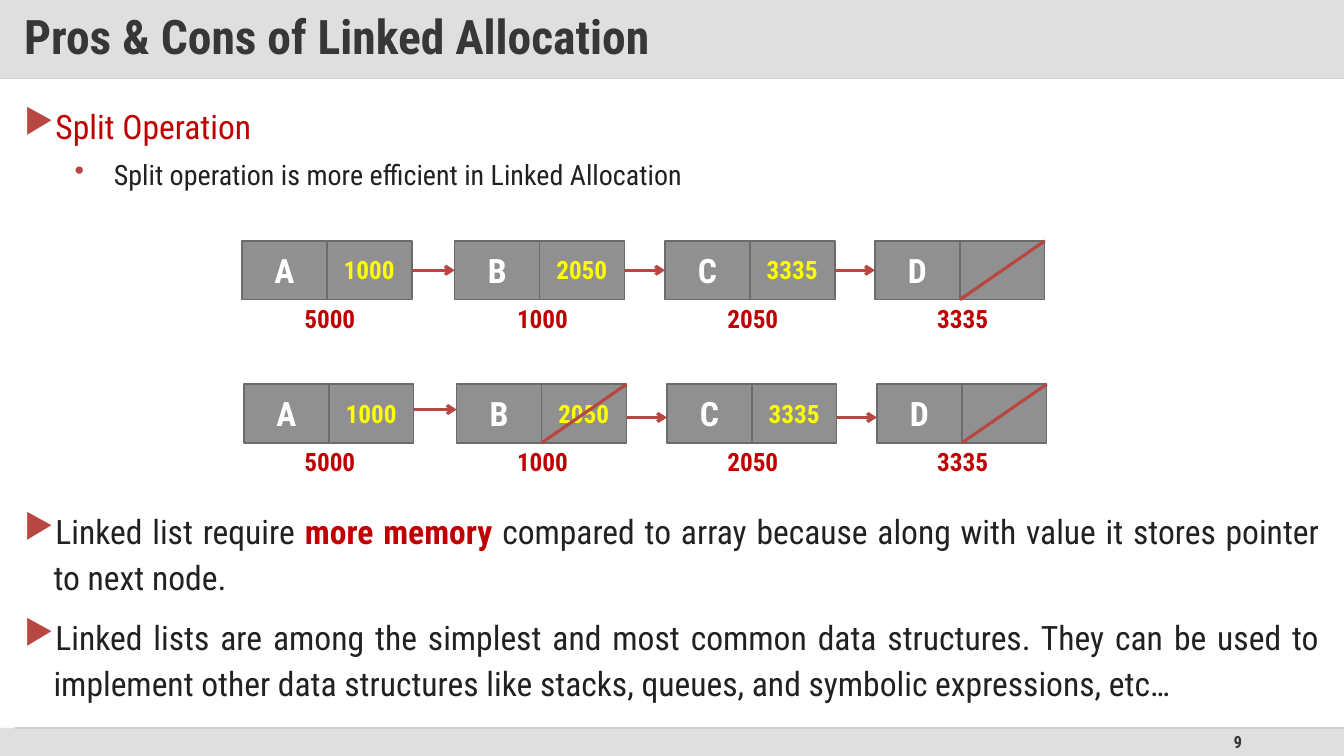
from dataclasses import dataclass

from lxml import etree
from pptx import Presentation
from pptx.dml.color import RGBColor
from pptx.enum.shapes import MSO_CONNECTOR, MSO_SHAPE
from pptx.enum.text import MSO_ANCHOR, MSO_AUTO_SIZE, PP_ALIGN
from pptx.oxml.ns import qn
from pptx.util import Cm, Pt

STRAIGHT = MSO_CONNECTOR.STRAIGHT
RECTANGLE, ROUNDED = MSO_SHAPE.RECTANGLE, MSO_SHAPE.ROUNDED_RECTANGLE
TOP, MIDDLE = MSO_ANCHOR.TOP, MSO_ANCHOR.MIDDLE
FIT_SHAPE = MSO_AUTO_SIZE.SHAPE_TO_FIT_TEXT
LEFT, CENTER, RIGHT, JUSTIFY = PP_ALIGN.LEFT, PP_ALIGN.CENTER, PP_ALIGN.RIGHT, PP_ALIGN.JUSTIFY


@dataclass(frozen=True)
class Theme:
    font: str = "Roboto Condensed"
    ink: str = "212121"
    dark: str = "373737"
    white: str = "FFFFFF"
    crimson: str = "C00000"
    brick: str = "B84742"
    yellow: str = "FFFF00"
    cell: str = "909090"
    cell_edge: str = "6B6B6B"
    band: str = "C0C0C0"
    footer: str = "DFDFDF"
    header_rule: str = "D9D9D9"
    footer_rule: str = "BFBFBF"
    title_size: int = 34
    body_size: int = 24
    detail_size: int = 20
    label_size: int = 18
    number_size: int = 12


WIDTH, HEIGHT = 33.87, 19.05
HEADER, FOOTER = 1.98, 18.34
CELL_WIDTH, CELL_HEIGHT = 2.14, 1.48
LABEL_WIDTH, LABEL_HEIGHT = 1.8, 1.02
NODES = [("A", "1000", "5000"), ("B", "2050", "1000"), ("C", "3335", "2050"), ("D", "", "3335")]
NODE_LEFTS = [6.1, 11.46, 16.76, 22.05]
ROWS = [
    {"shift": 0, "top": 6.07, "arrow_shifts": [0, 0, 0], "ends": "D"},
    {"shift": 0.05, "top": 9.68, "arrow_shifts": [-0.1, 0.1, 0.1], "ends": "BD"},
]


class SlideBuilder:
    """Draws styled elements on the current slide."""

    def __init__(self, slide, theme):
        self.shapes = slide.shapes
        self.theme = theme

    def assign(self, target, values):
        for name, value in values.items():
            setattr(target, name, value)

    def fade(self, fill_holder, percent):
        color = next(fill_holder.iter(qn("a:srgbClr")))
        etree.SubElement(color, qn("a:alpha"), val=str(percent * 1000))

    def box(self, kind, left, top, width, height, fill, edge=None, opacity=100):
        box = self.shapes.add_shape(kind, Cm(left), Cm(top), Cm(width), Cm(height))
        box.shadow.inherit = False
        box.fill.solid()
        box.fill.fore_color.rgb = RGBColor.from_string(fill)
        if edge:
            box.line.color.rgb = RGBColor.from_string(edge)
            box.line.width = Pt(1)
        else:
            box.line.fill.background()
        if opacity < 100:
            self.fade(box.element.spPr, opacity)
        return box

    def add_span(self, para, text, size, color, bold=False):
        span = para.add_run()
        span.text = text
        self.assign(span.font, {"name": self.theme.font, "size": Pt(size), "bold": bold})
        span.font.color.rgb = RGBColor.from_string(color)

    def caption(self, box, text, size, color, align=CENTER, anchor=MIDDLE, **layout):
        frame = box.text_frame
        self.assign(frame, {"vertical_anchor": anchor, "word_wrap": True, **layout})
        para = frame.paragraphs[0]
        para.alignment = align
        self.add_span(para, text, size, color, True)
        return para

    def text_box(self, left, top, width, height):
        return self.shapes.add_textbox(Cm(left), Cm(top), Cm(width), Cm(height))

    def label(self, left, top, text, color):
        box = self.text_box(left, top, LABEL_WIDTH, LABEL_HEIGHT)
        self.caption(box, text, self.theme.label_size, color, LEFT, TOP,
                     word_wrap=False, auto_size=FIT_SHAPE)

    def line(self, start, end, color, width, arrow=False, opacity=100):
        line = self.shapes.add_connector(STRAIGHT, *(Cm(value) for value in (*start, *end)))
        line.line.color.rgb = RGBColor.from_string(color)
        line.line.width = Pt(width)
        properties = line.element.spPr
        if opacity < 100:
            self.fade(properties, opacity)
        if arrow:
            etree.SubElement(properties.find(qn("a:ln")), qn("a:tailEnd"), type="arrow")
        etree.SubElement(properties, qn("a:effectLst"))
        return line

    def bullets(self, top, height, items):
        frame = self.text_box(0.36, top, 33.15, height).text_frame
        frame.word_wrap = True
        for index, (level, spans) in enumerate(items):
            para = frame.paragraphs[0] if index == 0 else frame.add_paragraph()
            margin, indent, mark, size, gap = [
                (0.74, -0.74, "▶", self.theme.body_size, 10),
                (2.26, -0.99, "•", self.theme.detail_size, 5),
            ][level]
            properties = para._p.get_or_add_pPr()
            properties.set("marL", str(Cm(margin)))
            properties.set("indent", str(Cm(indent)))
            bullet_color = etree.SubElement(properties, qn("a:buClr"))
            etree.SubElement(bullet_color, qn("a:srgbClr"), val=self.theme.brick)
            etree.SubElement(properties, qn("a:buChar"), char=mark)
            self.assign(para, {"level": level, "alignment": JUSTIFY, "line_spacing": 1.14,
                               "space_before": Pt(gap if index else 0)})
            for text, color, bold in spans:
                self.add_span(para, text, size, color, bold)

    def linked_list(self, shift, top, arrow_shifts, ends):
        theme = self.theme
        lefts = [left + shift for left in NODE_LEFTS]
        cells = []
        for left, (name, pointer, address) in zip(lefts, NODES):
            middle, right = left + CELL_WIDTH, left + 2 * CELL_WIDTH
            value_cell, pointer_cell = [
                self.box(RECTANGLE, x, top, CELL_WIDTH, CELL_HEIGHT, theme.cell, theme.cell_edge)
                for x in (left, middle)
            ]
            cells.append((value_cell, pointer_cell))
            self.caption(value_cell, name, theme.body_size, theme.white)
            if pointer:
                self.label(middle + 0.17, top + 0.22, pointer, theme.yellow)
            if name in ends:
                self.line((right, top), (middle, top + CELL_HEIGHT), theme.brick, 2.25)
            self.label(left - shift + 1.32, top + 1.45, address, theme.crimson)
        for index, arrow_shift in enumerate(arrow_shifts):
            level = top + CELL_HEIGHT / 2 + arrow_shift
            arrow = self.line((lefts[index] + 2 * CELL_WIDTH, level), (lefts[index + 1], level),
                              theme.brick, 2.25, arrow=True)
            if arrow_shift == 0:
                arrow.begin_connect(cells[index][1], 3)
                arrow.end_connect(cells[index + 1][0], 1)


def main():
    deck = Presentation()
    deck.slide_width, deck.slide_height = Cm(WIDTH), Cm(HEIGHT)
    theme = Theme()
    page = SlideBuilder(deck.slides.add_slide(deck.slide_layouts[6]), theme)

    footer = page.box(ROUNDED, 0, FOOTER, WIDTH, HEIGHT - FOOTER, theme.footer)
    footer.adjustments[0] = 0
    number = page.text_box(23.93, FOOTER, 7.62, HEIGHT - FOOTER)
    page.caption(number, "9", theme.number_size, theme.dark, RIGHT)
    page.line((0, HEADER), (WIDTH, HEADER), theme.header_rule, 1)
    page.line((0.36, FOOTER), (WIDTH, FOOTER), theme.footer_rule, 1, opacity=70)

    header = page.box(RECTANGLE, 0, 0, WIDTH, HEADER, theme.band, opacity=50)
    title = page.caption(header, "Pros & Cons of Linked Allocation", theme.title_size, theme.dark,
                         LEFT, margin_left=Cm(0.61), margin_right=Cm(0.61),
                         margin_top=Cm(0.3), margin_bottom=Cm(0.3))
    title.line_spacing = 0.9

    page.bullets(2.39, 2.6, [
        (0, [("Split Operation", theme.crimson, False)]),
        (1, [("Split operation is more efficient in Linked Allocation", theme.ink, False)]),
    ])
    page.bullets(12.6, 5.3, [
        (0, [("Linked list require ", theme.ink, False),
             ("more memory ", theme.crimson, True),
             ("compared to array because along with value it stores pointer to next node.",
              theme.ink, False)]),
        (0, [("Linked lists are among the simplest and most common data structures. They can be "
              "used to implement other data structures like stacks, queues, and symbolic "
              "expressions, etc…", theme.ink, False)]),
    ])
    for row in ROWS:
        page.linked_list(**row)
    deck.save("out.pptx")


if __name__ == "__main__":
    main()
